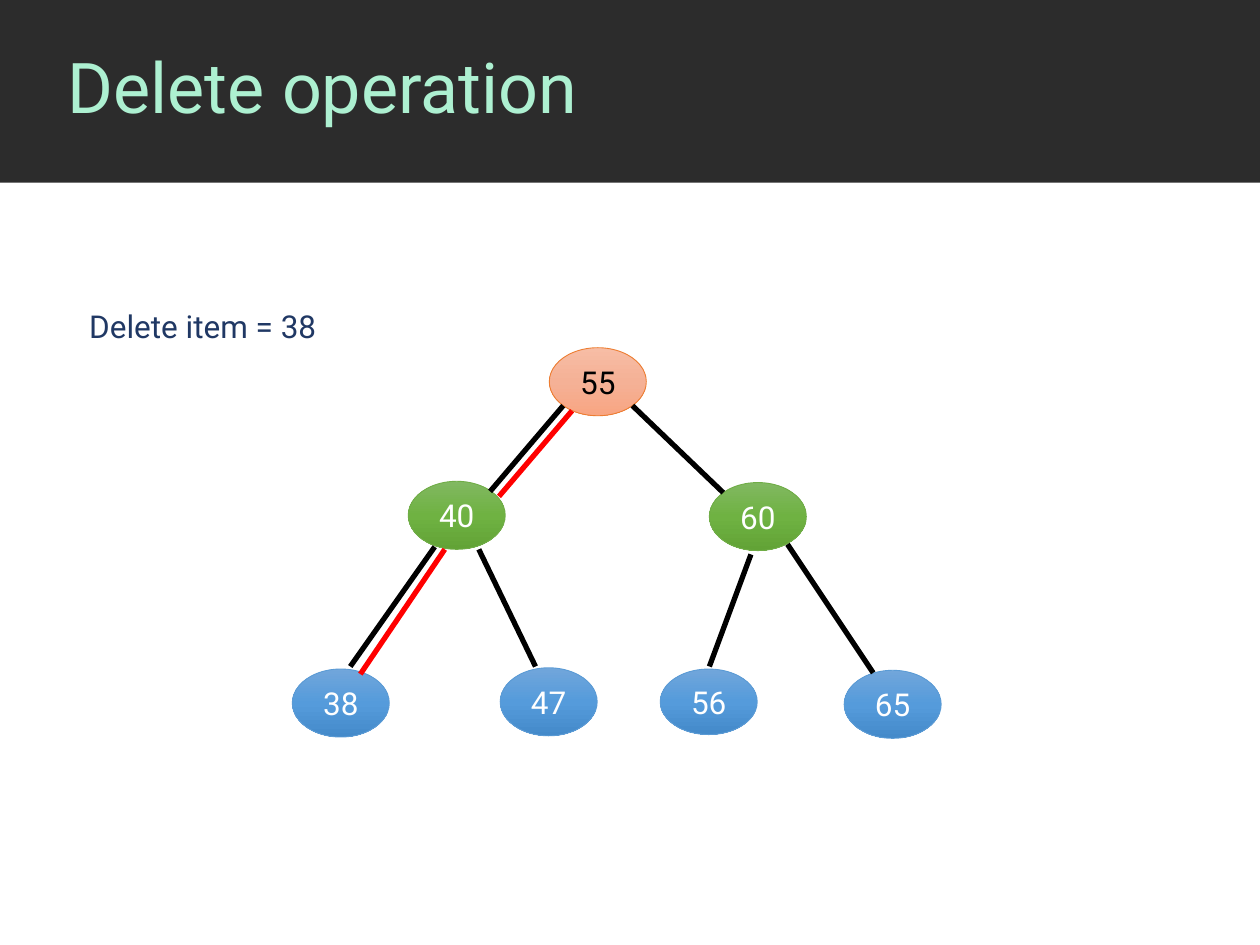
import copy

import pptx
import pptx.dml.color
import pptx.enum.shapes
import pptx.enum.text
import pptx.oxml.ns
import pptx.oxml.xmlchemy
import pptx.util
from pptx.util import Inches

MSO = pptx.enum.shapes.MSO_SHAPE
ANCHOR = pptx.enum.text.MSO_ANCHOR
ALIGN = pptx.enum.text.PP_ALIGN
qn = pptx.oxml.ns.qn


def rgb(value):
    return pptx.dml.color.RGBColor.from_string(value)


def write(sp, text, size, color, frame, para):
    tf = sp.text_frame
    for name, value in frame.items():
        setattr(tf, name, value)
    p = tf.paragraphs[0]
    for name, value in para.items():
        setattr(p, name, value)
    r = p.add_run()
    r.text = text
    for name, value in {"name": "Roboto", "size": pptx.util.Pt(size)}.items():
        setattr(r.font, name, value)
    r.font.color.rgb = rgb(color)


prs = pptx.Presentation()
prs.slide_width, prs.slide_height = Inches(10), Inches(7.5)
s = prs.slides.add_slide(prs.slide_layouts[6])

# Title band
band = s.shapes.add_shape(MSO.RECTANGLE, 0, 0, prs.slide_width, Inches(1.45))
band.shadow.inherit = False
band.fill.solid()
band.fill.fore_color.rgb = rgb("2C2C2C")
band.line.fill.background()
title = s.shapes.add_textbox(Inches(0.44), 0, Inches(9.56), Inches(1.44))
write(title, "Delete operation", 40, "ADF0D1",
      {"word_wrap": True, "vertical_anchor": ANCHOR.MIDDLE}, {"line_spacing": 0.9})

# Tree nodes: gradient stops, outline, text colour per level
LEVELS = {
    "root": (["F7BDA5", "F5B196", "F8A582"], "ED7D31", "000000"),
    "inner": (["81B861", "6FB242", "62A336"], "70AD47", "FFFFFF"),
    "leaf": (["71A6DB", "559BDB", "448ACA"], "5B9BD5", "FFFFFF"),
}
nodes = [
    ("55", "root", 4.36, 2.76, 0.54),
    ("40", "inner", 3.24, 3.82, 0.54),
    ("60", "inner", 5.63, 3.83, 0.54),
    ("38", "leaf", 2.32, 5.31, 0.54),
    ("47", "leaf", 3.97, 5.3, 0.54),
    ("56", "leaf", 5.24, 5.31, 0.52),
    ("65", "leaf", 6.7, 5.32, 0.54),
]
for key, level, x, y, h in nodes:
    stops, outline, ink = LEVELS[level]
    sp = s.shapes.add_shape(MSO.OVAL, Inches(x), Inches(y), Inches(0.77), Inches(h))
    sp.shadow.inherit = False
    sp.fill.gradient()
    sp.fill.gradient_angle = 270  # counter-clockwise, so top to bottom
    gs = sp._element.spPr.find(qn("a:gradFill")).find(qn("a:gsLst"))
    gs.insert(1, copy.deepcopy(gs[0]))
    for i, stop in enumerate(sp.fill.gradient_stops):
        stop.position = i / 2
        stop.color.rgb = rgb(stops[i])
    sp.line.color.rgb = rgb(outline)
    sp.line.width = pptx.util.Pt(0.5)
    write(sp, key, 18, ink, {"vertical_anchor": ANCHOR.MIDDLE},
          {"alignment": ALIGN.CENTER})

# Tree edges in black, search path in red
edges = [
    (4.47, 3.22, 3.89, 3.9, "000000"),
    (5.02, 3.22, 5.74, 3.91, "000000"),
    (3.45, 4.34, 2.78, 5.29, "000000"),
    (3.8, 4.36, 4.25, 5.29, "000000"),
    (5.96, 4.4, 5.63, 5.29, "000000"),
    (6.25, 4.32, 6.93, 5.34, "000000"),
    (4.54, 3.26, 3.96, 3.94, "FF0000"),
    (3.53, 4.36, 2.86, 5.35, "FF0000"),
]
for x1, y1, x2, y2, color in edges:
    edge = s.shapes.add_connector(pptx.enum.shapes.MSO_CONNECTOR.STRAIGHT,
                                  Inches(x1), Inches(y1), Inches(x2), Inches(y2))
    edge.line.color.rgb = rgb(color)
    edge.line.width = pptx.util.Pt(3)
    spPr = edge._element.spPr
    spPr.append(spPr.makeelement(qn("a:effectLst"), {}))

# Caption
caption = s.shapes.add_textbox(Inches(0.61), Inches(2.39), Inches(2.18), Inches(0.4))
write(caption, "Delete item = 38", 18, "203864",
      {"word_wrap": True, "auto_size": pptx.enum.text.MSO_AUTO_SIZE.SHAPE_TO_FIT_TEXT}, {})

prs.save("out.pptx")
